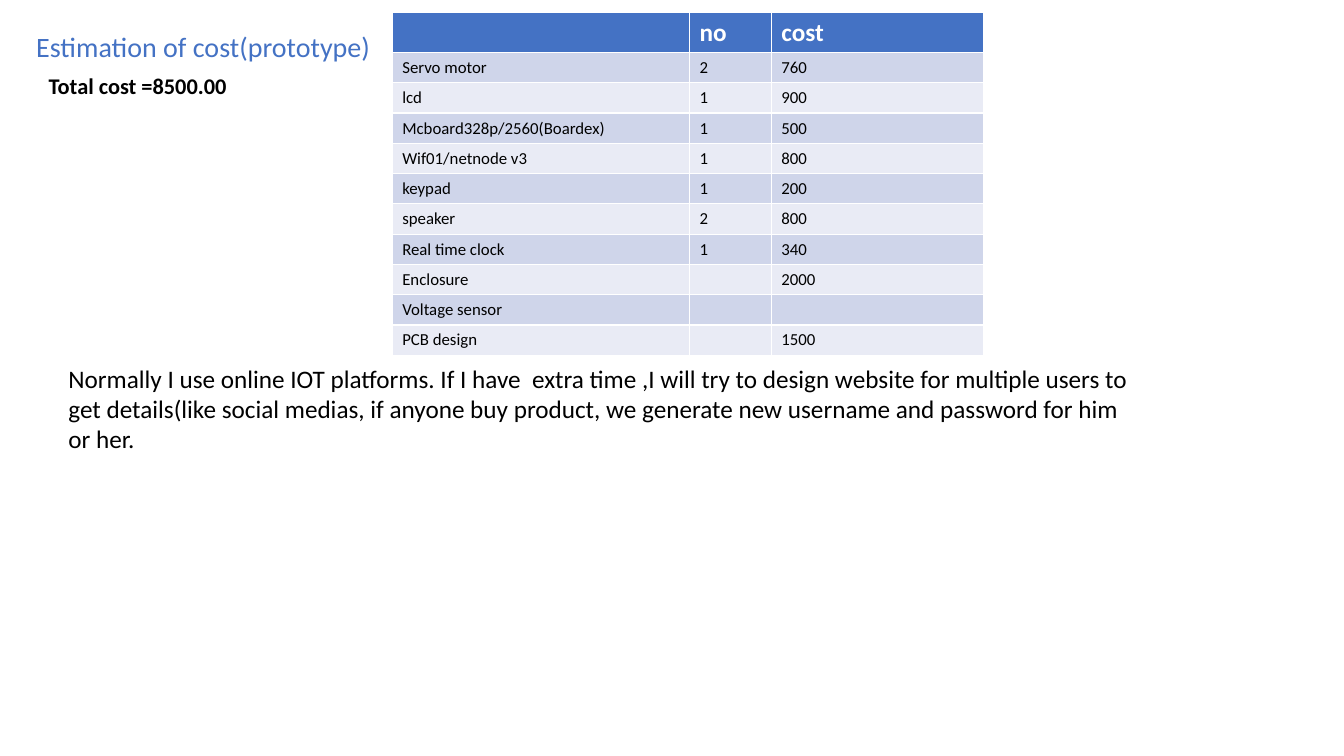
from dataclasses import dataclass

from lxml.etree import SubElement
from pptx import Presentation
from pptx.dml.color import RGBColor
from pptx.enum.text import PP_ALIGN
from pptx.oxml.ns import qn
from pptx.util import Inches, Pt


@dataclass(frozen=True)
class Theme:
    font: str = "Calibri"
    accent: str = "4472C4"
    ink: str = "000000"
    paper: str = "FFFFFF"
    bands: tuple = ("CFD5EA", "E9EBF5")
    title: int = 20
    body: int = 18
    total: int = 16
    cell: int = 12


class SlideBuilder:
    def __init__(self, prs, theme):
        self.theme = theme
        self.s = prs.slides.add_slide(prs.slide_layouts[6])

    def add_run(self, p, text, size, color, bold=False):
        if not text:
            # An empty cell still needs its type size to keep the row height
            SubElement(p._p, qn("a:endParaRPr"), sz=str(size * 100))
            return
        r = p.add_run()
        r.text = text
        style = {"name": self.theme.font, "size": Pt(size), "bold": bold}
        for key, value in style.items():
            setattr(r.font, key, value)
        r.font.color.rgb = RGBColor.from_string(color)

    def text(self, box, text, size, color, bold=False, align=PP_ALIGN.LEFT, wrap=True):
        tf = self.s.shapes.add_textbox(*map(Inches, box)).text_frame
        tf.word_wrap = wrap
        p = tf.paragraphs[0]
        p.alignment = align
        self.add_run(p, text, size, color, bold)

    def table(self, left, top, widths, heights, rows):
        t = self.theme
        box = map(Inches, (left, top, sum(widths), sum(heights)))
        table = self.s.shapes.add_table(len(rows), len(widths), *box).table
        for col, width in zip(table.columns, widths):
            col.width = Inches(width)
        for i, (row, height) in enumerate(zip(rows, heights)):
            table.rows[i].height = Inches(height)
            head = i == 0
            fill = t.accent if head else t.bands[(i - 1) % 2]
            size, color = (t.body, t.paper) if head else (t.cell, t.ink)
            for j, text in enumerate(row):
                cell = table.cell(i, j)
                cell.fill.solid()
                cell.fill.fore_color.rgb = RGBColor.from_string(fill)
                self.add_run(cell.text_frame.paragraphs[0], text, size, color, head)


theme = Theme()
prs = Presentation()
prs.slide_width, prs.slide_height = Inches(13.33), Inches(7.5)
slide = SlideBuilder(prs, theme)

# Title
slide.text((0, 0.24, 4.03, 0.44), "Estimation of cost(prototype)",
           theme.title, theme.accent, align=PP_ALIGN.CENTER)

# Cost table
COSTS = [
    ("", "no", "cost"),
    ("Servo motor", "2", "760"),
    ("lcd", "1", "900"),
    ("Mcboard328p/2560(Boardex)", "1", "500"),
    ("Wif01/netnode v3", "1", "800"),
    ("keypad", "1", "200"),
    ("speaker", "2", "800"),
    ("Real time clock", "1", "340"),
    ("Enclosure ", "", "2000"),
    ("Voltage sensor", "", ""),
    ("PCB design", "", "1500"),
]
heights = [0.4] + [0.3] * (len(COSTS) - 1)
slide.table(3.89, 0.12, (2.95, 0.81, 2.11), heights, COSTS)

# Total
slide.text((0.37, 0.67, 1.99, 0.37), "Total cost =8500.00",
           theme.total, theme.ink, bold=True, align=PP_ALIGN.CENTER, wrap=False)

# Closing note
slide.text((0.58, 3.55, 10.79, 1.01),
           "Normally I use online IOT platforms. If I have  extra time ,I will try to "
           "design website for multiple users to get details(like social medias, if "
           "anyone buy product, we generate new username and password for him or her.",
           theme.body, theme.ink)

prs.save("out.pptx")
